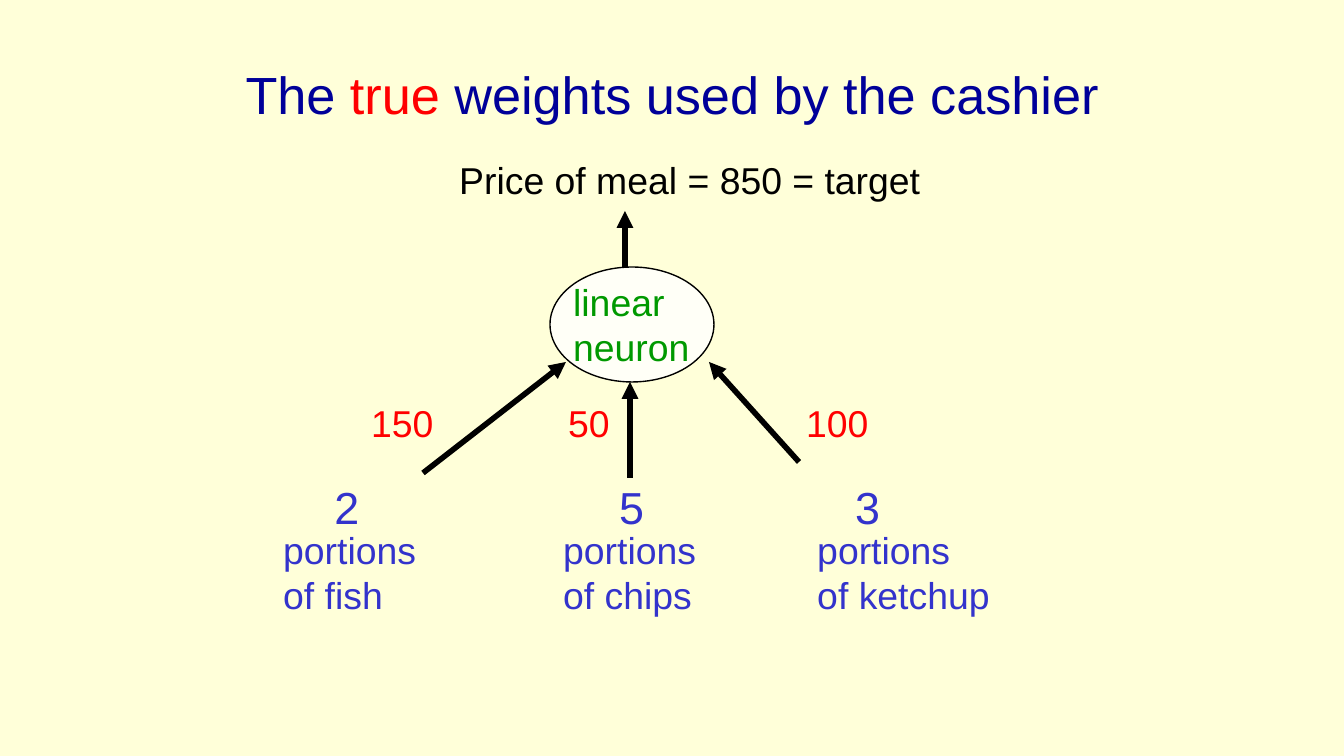
import pptx
import pptx.util
import pptx.dml.color
import pptx.enum.shapes
import pptx.enum.text
import pptx.oxml.ns
from lxml import etree

PX = 9144000 / 1344


def color(value):
    return pptx.dml.color.RGBColor.from_string(value)


def write(frame, *runs, size=20, align=pptx.enum.text.PP_ALIGN.LEFT,
          anchor=pptx.enum.text.MSO_ANCHOR.TOP, wrap=True):
    frame.word_wrap = wrap
    frame.vertical_anchor = anchor
    paragraph = frame.paragraphs[0]
    paragraph.alignment = align
    for text, ink in runs:
        run = paragraph.add_run()
        run.text = text
        run.font.name = "Arial"
        run.font.size = pptx.util.Pt(size)
        run.font.color.rgb = color(ink)


deck = pptx.Presentation()
deck.slide_width, deck.slide_height = round(1344 * PX), round(756 * PX)
slide = deck.slides.add_slide(deck.slide_layouts[5])
slide.background.fill.solid()
slide.background.fill.fore_color.rgb = color("FFFFD9")

title = slide.shapes.title
title.left, title.top, title.width, title.height = [round(v * PX) for v in (67, 31, 1210, 126)]
write(title.text_frame, ("The ", "000099"), ("true", "FF0000"),
      (" weights used by the cashier", "000099"), size=28,
      align=pptx.enum.text.PP_ALIGN.CENTER, anchor=pptx.enum.text.MSO_ANCHOR.MIDDLE)

neuron = slide.shapes.add_shape(pptx.enum.shapes.MSO_SHAPE.OVAL,
                                *[round(v * PX) for v in (550, 267, 164, 115)])
neuron.shadow.inherit = False
neuron.fill.solid()
neuron.fill.fore_color.rgb = color("FFFFF7")
neuron.line.color.rgb = color("000000")
neuron.line.width = pptx.util.Pt(0.75)

for ends in [(625, 267, 625, 211), (423, 473, 566, 362),
             (630, 478, 630, 382), (799, 462, 709, 362)]:
    arrow = slide.shapes.add_connector(pptx.enum.shapes.MSO_CONNECTOR.STRAIGHT,
                                       *[round(v * PX) for v in ends])
    arrow.line.color.rgb = color("000000")
    arrow.line.width = pptx.util.Pt(3)
    etree.SubElement(arrow.line._get_or_add_ln(), pptx.oxml.ns.qn("a:tailEnd"), type="triangle")
    etree.SubElement(arrow._element.spPr, pptx.oxml.ns.qn("a:effectLst"))

labels = [
    ("Price of meal = 850 = target", 446, 151, 492, 59, 20, "000000", False),
    ("linear neuron", 560, 273, 169, 104, 20, "009900", True),
]
inputs = [
    ("150", 358, "2", 321, "portions of fish", 270, 180),
    ("50", 555, "5", 606, "portions of chips", 550, 180),
    ("100", 793, "3", 842, "portions of ketchup", 804, 201),
]
for weight, weight_x, count, count_x, portion, portion_x, portion_width in inputs:
    labels += [
        (weight, weight_x, 394, 94, 59, 20, "FF0000", False),
        (count, count_x, 473, 54, 65, 24, "3333CC", False),
        (portion, portion_x, 521, portion_width, 104, 20, "3333CC", True),
    ]

for text, left, top, width, height, size, ink, wrap in labels:
    label = slide.shapes.add_textbox(*[round(v * PX) for v in (left, top, width, height)])
    write(label.text_frame, (text, ink), size=size, wrap=wrap)

deck.save("out.pptx")
